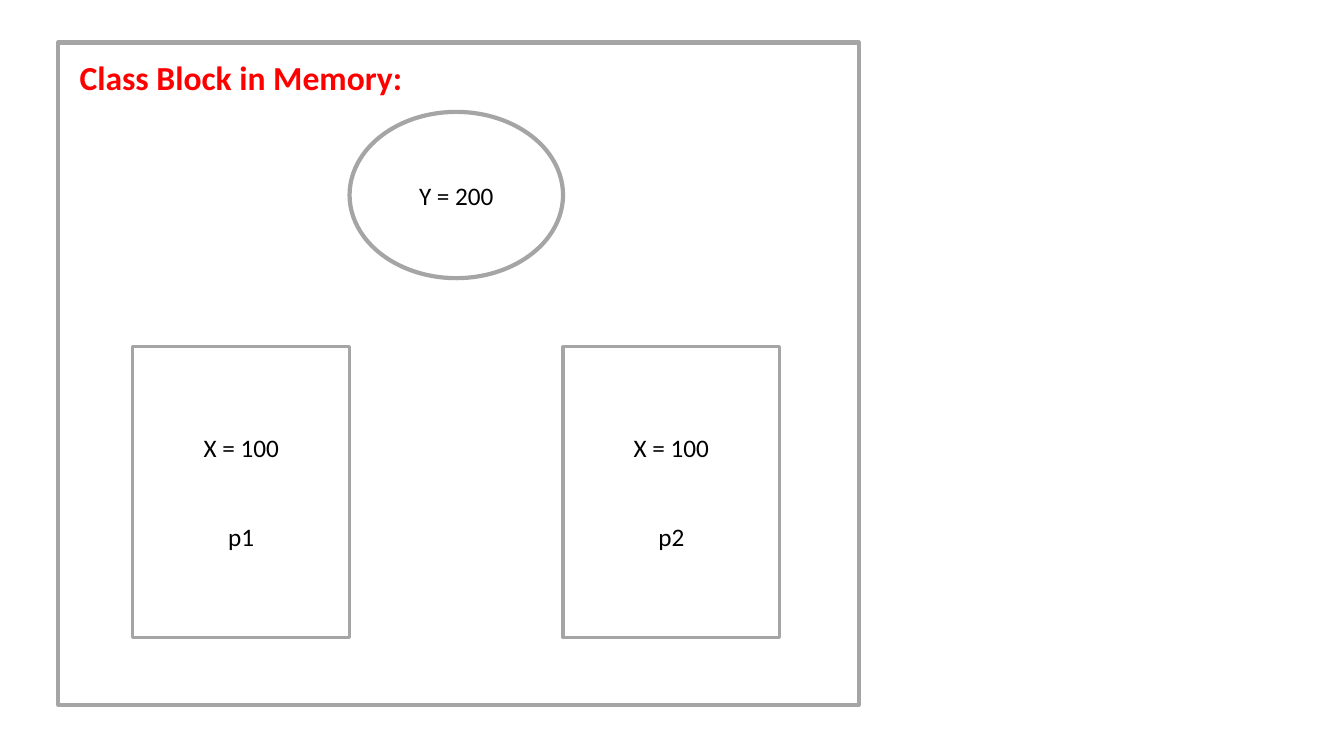
"""Draw a class block in memory with one shared value and two objects."""
from dataclasses import dataclass

from pptx import Presentation
from pptx.dml.color import RGBColor
from pptx.enum.shapes import MSO_SHAPE as Preset
from pptx.enum.text import MSO_ANCHOR as Anchor, MSO_AUTO_SIZE as AutoSize, PP_ALIGN as Align
from pptx.shapes.autoshape import Shape
from pptx.slide import Slide
from pptx.text.text import _Paragraph as Paragraph
from pptx.util import Cm, Pt


@dataclass(frozen=True)
class Theme:
    font: str = "Calibri"
    title_size: float = 24
    body_size: float = 18
    title: RGBColor = RGBColor(255, 0, 0)
    text: RGBColor = RGBColor(0, 0, 0)
    fill: RGBColor = RGBColor(255, 255, 255)
    outline: RGBColor = RGBColor(165, 165, 165)
    thick: float = 3
    thin: float = 2.25
    label_gap: float = 42


@dataclass(frozen=True)
class Block:
    left: float
    top: float
    width: float
    height: float
    lines: tuple[str, ...] = ()
    preset: Preset = Preset.RECTANGLE
    border: float = Theme.thick


THEME = Theme()
OBJECT_WIDTH = 5.46
SHARED = Block(8.81, 2.82, 5.38, 4.19, ("Y = 200",), Preset.OVAL)
FRAME = Block(1.47, 1.07, 20.17, 16.69)
OBJECTS = [
    Block(left, 8.74, OBJECT_WIDTH, 7.32, ("X = 100", name), border=THEME.thin)
    for name, left in (("p1", SHARED.left - OBJECT_WIDTH), ("p2", SHARED.left + SHARED.width))
]


def add_span(para: Paragraph, text: str, size: float, color: RGBColor, bold: bool = False) -> None:
    """Add one formatted run to a paragraph."""
    span = para.add_run()
    span.text = text
    span.font.name = THEME.font
    span.font.size = Pt(size)
    span.font.color.rgb = color
    span.font.bold = bold


def draw_block(page: Slide, block: Block) -> Shape:
    """Draw an outlined block with its centred lines."""
    box = page.shapes.add_shape(
        block.preset, Cm(block.left), Cm(block.top), Cm(block.width), Cm(block.height)
    )
    box.shadow.inherit = False
    box.fill.solid()
    box.fill.fore_color.rgb = THEME.fill
    box.line.color.rgb = THEME.outline
    box.line.width = Pt(block.border)
    frame = box.text_frame
    frame.word_wrap = True
    frame.vertical_anchor = Anchor.MIDDLE
    for index, line in enumerate(block.lines):
        para = frame.add_paragraph() if index else frame.paragraphs[0]
        para.alignment = Align.CENTER
        para.space_before = Pt(THEME.label_gap if index else 0)
        add_span(para, line, THEME.body_size, THEME.text)
    return box


def format_title(page: Slide, text: str) -> Shape:
    """Place and format the slide title."""
    title = page.shapes.title
    title.left, title.top, title.width, title.height = Cm(1.75), Cm(1.3), Cm(10.31), Cm(1.27)
    frame = title.text_frame
    frame.word_wrap = True
    frame.auto_size = AutoSize.SHAPE_TO_FIT_TEXT
    frame.vertical_anchor = Anchor.TOP
    para = frame.paragraphs[0]
    para.alignment = Align.LEFT
    add_span(para, text, THEME.title_size, THEME.title, bold=True)
    return title


def main() -> None:
    """Build and save the deck."""
    deck = Presentation()
    deck.slide_width, deck.slide_height = Cm(33.87), Cm(19.05)
    page = deck.slides.add_slide(deck.slide_layouts.get_by_name("Title Only"))
    title = format_title(page, "Class Block in Memory:")
    backdrop = draw_block(page, FRAME)
    title.element.addprevious(backdrop.element)
    for block in (SHARED, *OBJECTS):
        draw_block(page, block)
    deck.save("out.pptx")


main()
